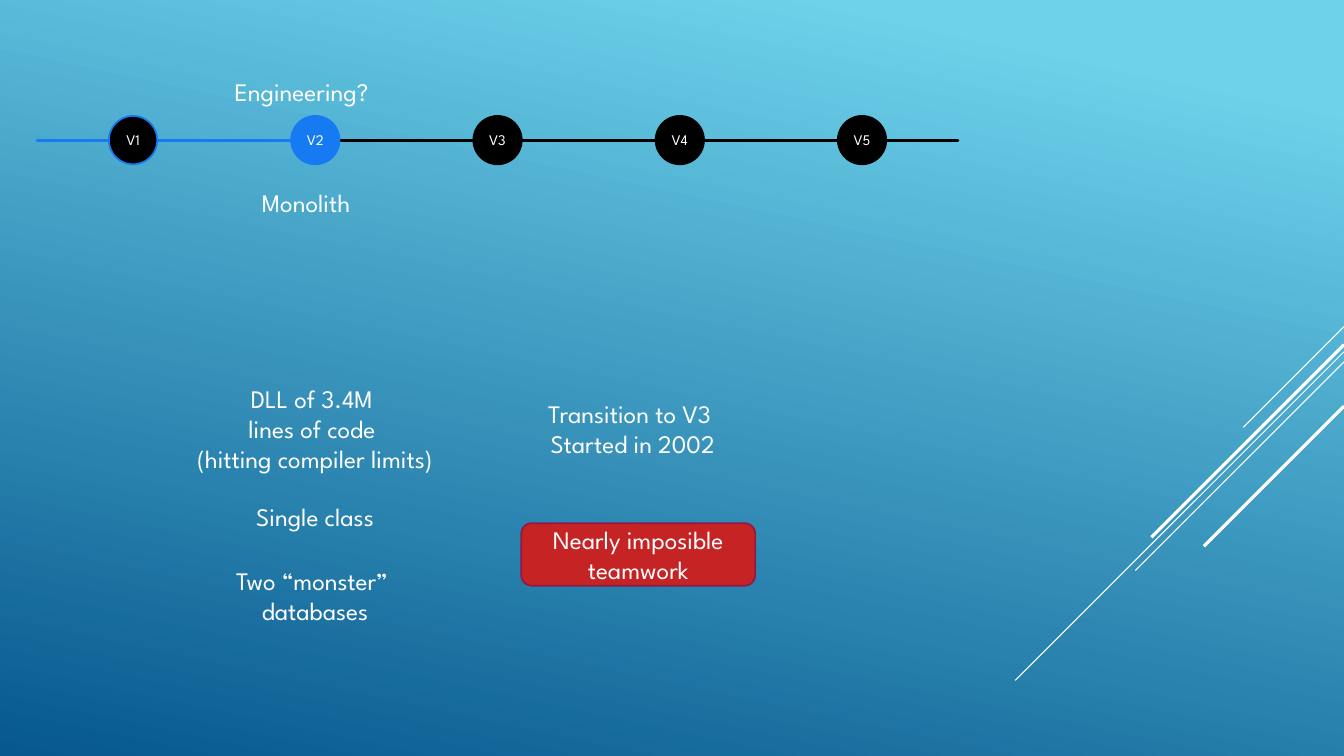
from dataclasses import dataclass

from lxml import etree
from pptx import Presentation
from pptx.dml.color import RGBColor as RGB
from pptx.enum.shapes import MSO_CONNECTOR, MSO_SHAPE
from pptx.enum.text import MSO_ANCHOR, MSO_AUTO_SIZE, PP_ALIGN
from pptx.oxml.ns import qn
from pptx.util import Inches, Pt


@dataclass(frozen=True)
class Theme:
    font: str = "League Spartan"
    sky: RGB = RGB(0x6E, 0xD2, 0xEB)
    deep: RGB = RGB(0x06, 0x58, 0x8E)
    white: RGB = RGB(0xFF, 0xFF, 0xFF)
    black: RGB = RGB(0x00, 0x00, 0x00)
    blue: RGB = RGB(0x16, 0x7B, 0xF3)
    red: RGB = RGB(0xC6, 0x23, 0x24)
    wine: RGB = RGB(0x92, 0x1A, 0x46)
    body: float = 18
    label: float = 10.5
    thin: float = 0.75
    outline: float = 1.25
    thick: float = 2.25


theme = Theme()
prs = Presentation()
prs.slide_width, prs.slide_height = Inches(13.33), Inches(7.5)
s = prs.slides.add_slide(prs.slide_layouts[6])


def add_line(x1, y1, x2, y2, color, width, cap="flat"):
    line = s.shapes.add_connector(MSO_CONNECTOR.STRAIGHT, Inches(x1), Inches(y1),
                                  Inches(x2), Inches(y2))
    line.line.color.rgb = color
    line.line.width = Pt(width)
    line.line._get_or_add_ln().set("cap", cap)
    etree.SubElement(line._element.spPr, qn("a:effectLst"))


def write(tf, lines, size, align=PP_ALIGN.CENTER):
    for i, text in enumerate(lines):
        p = tf.add_paragraph() if i else tf.paragraphs[0]
        p.alignment = align
        r = p.add_run()
        r.text = text
        r.font.name, r.font.size = theme.font, Pt(size)
        r.font.color.rgb = theme.white


# Background gradient
fill = s.background.fill
fill.gradient()
fill.gradient_angle = 258
for stop, color, position in zip(fill.gradient_stops, (theme.sky, theme.deep), (0.1, 1)):
    stop.color.rgb = color
    stop.position = position

# Diagonal rays: start height on the right edge, horizontal run, width
right_edge = 13.33
for top, run, width in [(3.24, 1, theme.thin), (3.49, 3.26, theme.thin),
                        (3.59, 2.07, theme.thin), (3.42, 1.91, theme.thick),
                        (4.03, 1.39, theme.thick)]:
    add_line(right_edge, top, right_edge - run, top + run, theme.white, width)

# Timeline
axis_y, diameter = 1.39, 0.48
first_x, last_x = 1.08, 8.31
versions = [("V1", theme.black, theme.blue), ("V2", theme.blue, theme.blue),
            ("V3", theme.black, theme.black), ("V4", theme.black, theme.black),
            ("V5", theme.black, theme.black)]
pitch = (last_x - first_x) / (len(versions) - 1)

for start, end, color in [(3.37, 9.5, theme.black), (0.37, first_x, theme.blue),
                          (first_x + diameter, first_x + pitch, theme.blue)]:
    add_line(start, axis_y, end, axis_y, color, theme.thick, "rnd")

for i, (name, inside, border) in enumerate(versions):
    sp = s.shapes.add_shape(MSO_SHAPE.OVAL, Inches(first_x + i * pitch),
                            Inches(axis_y - diameter / 2), Inches(diameter), Inches(diameter))
    sp.shadow.inherit = False
    sp.fill.solid()
    sp.fill.fore_color.rgb = inside
    sp.line.color.rgb = border
    sp.line.width = Pt(theme.outline)
    tf = sp.text_frame
    tf.margin_left = tf.margin_right = tf.margin_top = tf.margin_bottom = 0
    tf.vertical_anchor = MSO_ANCHOR.MIDDLE
    write(tf, [name], theme.label)

# Notes around the timeline
left, center = PP_ALIGN.LEFT, PP_ALIGN.CENTER
notes = [
    (2.23, 0.71, 1.8, 0.4, False, left, ["Engineering?"]),
    (2.5, 1.81, 1.26, 0.4, False, left, ["Monolith"]),
    (1.66, 3.75, 2.93, 1.01, False, center,
     ["DLL of 3.4M ", "lines of code ", "(hitting compiler limits)"]),
    (2.34, 4.92, 1.57, 0.4, False, center, ["Single class"]),
    (1.79, 5.56, 2.67, 0.71, True, center, ["Two “monster” ", "databases"]),
    (5.23, 3.9, 2.09, 0.71, False, center, ["Transition to V3 ", "Started in 2002"]),
]
for x, y, w, h, wrap, align, lines in notes:
    tf = s.shapes.add_textbox(Inches(x), Inches(y), Inches(w), Inches(h)).text_frame
    tf.word_wrap = wrap
    tf.auto_size = MSO_AUTO_SIZE.SHAPE_TO_FIT_TEXT
    write(tf, lines, theme.body, align)

# Warning
warning = s.shapes.add_shape(MSO_SHAPE.ROUNDED_RECTANGLE, Inches(5.17), Inches(5.19),
                             Inches(2.32), Inches(0.62))
warning.shadow.inherit = False
warning.fill.solid()
warning.fill.fore_color.rgb = theme.red
warning.line.color.rgb = theme.wine
warning.line.width = Pt(theme.outline)
warning.text_frame.word_wrap = True
warning.text_frame.vertical_anchor = MSO_ANCHOR.MIDDLE
write(warning.text_frame, ["Nearly imposible teamwork"], theme.body)

prs.save("out.pptx")
